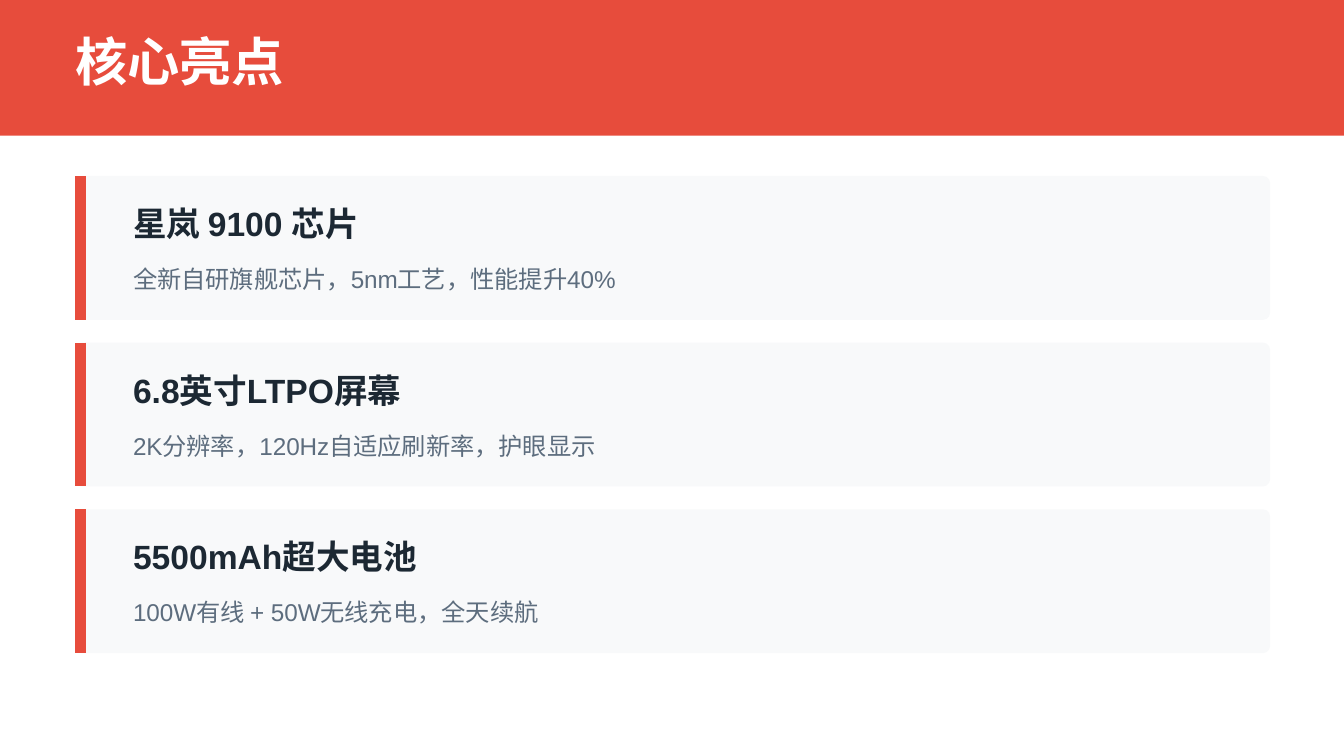
from lxml import etree
from pptx import Presentation
from pptx.dml.color import RGBColor
from pptx.enum import shapes, text
from pptx.oxml import ns
from pptx.util import Inches, Pt

RED = RGBColor(0xE7, 0x4C, 0x3C)
WHITE = RGBColor(0xFF, 0xFF, 0xFF)
PALE = RGBColor(0xF8, 0xF9, 0xFA)
DARK = RGBColor(0x1C, 0x28, 0x33)
GREY = RGBColor(0x5D, 0x6D, 0x7E)

CARDS = [
    ("星岚 9100 芯片", "全新自研旗舰芯片，5nm工艺，性能提升40%"),
    ("6.8英寸LTPO屏幕", "2K分辨率，120Hz自适应刷新率，护眼显示"),
    ("5500mAh超大电池", "100W有线 + 50W无线充电，全天续航"),
]


def add_panel(slide, kind, x, y, w, h, color):
    """Add a filled shape without outline or shadow."""
    panel = slide.shapes.add_shape(kind, Inches(x), Inches(y), Inches(w), Inches(h))
    panel.shadow.inherit = False
    panel.fill.solid()
    panel.fill.fore_color.rgb = color
    panel.line.fill.background()
    return panel


def add_label(slide, words, x, y, w, h, size, color, bold=False):
    """Add one line of text without margins and return its paragraph."""
    box = slide.shapes.add_textbox(Inches(x), Inches(y), Inches(w), Inches(h))
    frame = box.text_frame
    frame.margin_left = frame.margin_right = 0
    frame.margin_top = frame.margin_bottom = 0
    frame.vertical_anchor = text.MSO_ANCHOR.TOP
    frame.word_wrap = True
    frame.text = words
    line = frame.paragraphs[0]
    font = line.runs[0].font
    font.name, font.size, font.bold = "Arial", Pt(size), bold
    font.color.rgb = color
    return line


def add_bar(slide, x, y, h):
    """Add a thick vertical accent line."""
    bar = slide.shapes.add_connector(
        shapes.MSO_CONNECTOR.STRAIGHT, Inches(x), Inches(y), Inches(x), Inches(y + h))
    bar.line.color.rgb = RED
    bar.line.width = Pt(6)
    etree.SubElement(bar._element.spPr, ns.qn("a:effectLst"))


def add_header(slide, x, y, w, h):
    """Draw the title band."""
    add_panel(slide, shapes.MSO_SHAPE.RECTANGLE, x, y, w, h, RED)
    add_label(slide, "核心亮点", x + 0.56, y + 0.22, w - 0.93, 0.56, 28, WHITE, True)


def add_card(slide, x, y, w, h, title, detail):
    """Draw one highlight card with its accent, title and detail."""
    card = add_panel(slide, shapes.MSO_SHAPE.ROUNDED_RECTANGLE, x, y, w, h, PALE)
    card.adjustments[0] = 0.05
    add_bar(slide, x + 0.04, y, h)
    head = add_label(slide, title, x + 0.43, y + 0.2, w - 0.62, 0.36, 18, DARK, True)
    head.space_after = Pt(6)
    body = add_label(slide, detail, x + 0.43, y + 0.64, w - 0.62, 0.23, 13, GREY)
    body.line_spacing = Pt(16.9)


def main():
    """Build and save the slide."""
    deck = Presentation()
    deck.slide_width, deck.slide_height = Inches(10), Inches(10) * 9 // 16
    slide = deck.slides.add_slide(deck.slide_layouts[6])
    slide.background.fill.solid()
    slide.background.fill.fore_color.rgb = WHITE
    add_header(slide, 0, 0, 10, 1.01)
    for i, (title, detail) in enumerate(CARDS):
        add_card(slide, 0.56, 1.31 + i * 1.24, 8.89, 1.07, title, detail)
    deck.save("out.pptx")


if __name__ == "__main__":
    main()
